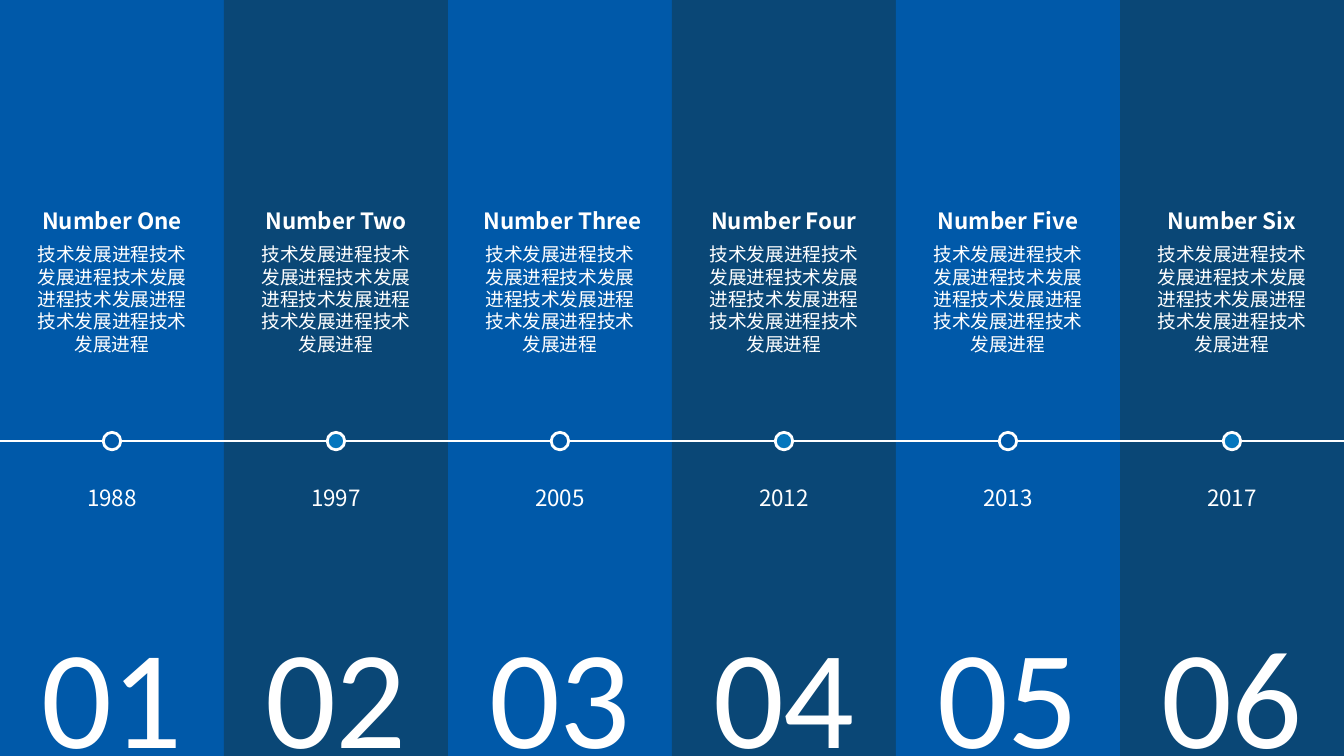
from lxml import etree
from pptx import Presentation
from pptx import util as u
from pptx.dml.color import RGBColor
from pptx.enum import shapes, text
from pptx.oxml.ns import qn

COLORS = {"blue": "0059A9", "navy": "0A4776", "sky": "0576BD", "white": "FFFFFF"}
SANS, DIGITS = "Noto Sans CJK SC", "Calibri"
BODY = "技术发展进程" * 6

MILESTONES = [
    ("Number One", "1988"),
    ("Number Two", "1997"),
    ("Number Three", "2005"),
    ("Number Four", "2012"),
    ("Number Five", "2013"),
    ("Number Six", "2017"),
]
BANDS = [("blue", "blue", 0), ("navy", "sky", 0.06)]
WIDE_TITLES = {"Number Three": (1.38, 0.02)}

WIDTH, HEIGHT = 10, 5.625
COLUMN = WIDTH / len(MILESTONES)
AXIS = HEIGHT * 0.5835
RING, DOT = 0.13, 0.08
PADDING = (0.07, 0.04, 0.07, 0.04)

STYLES = {
    "title": dict(top=1.56, width=1.17, height=0.25, inset=(0, 0, 0, 0),
                  font=dict(name=SANS, size=u.Pt(12), bold=True),
                  paragraph=dict(line_spacing=u.Pt(13), space_before=u.Pt(7.5))),
    "body": dict(top=1.81, width=1.17, height=0.77, inset=(0, 0, 0, 0),
                 font=dict(name=SANS, size=u.Pt(10)),
                 paragraph=dict(line_spacing=u.Pt(12), space_before=u.Pt(7.5))),
    "year": dict(top=3.56, width=1.23, height=0.28, inset=PADDING,
                 font=dict(name=SANS, size=u.Pt(12)),
                 paragraph=dict(line_spacing=u.Pt(14.4))),
    "number": dict(top=4.49, width=COLUMN, height=1.34, inset=PADDING,
                   font=dict(name=DIGITS, size=u.Pt(75)), paragraph={}),
}


def color(name):
    return RGBColor.from_string(COLORS[name])


def set_all(target, values):
    for name, value in values.items():
        setattr(target, name, value)


def add_shape(parent, kind, left, top, width, height, fill, outline=None):
    shape = parent.add_shape(kind, *map(u.Inches, (left, top, width, height)))
    shape.shadow.inherit = False
    shape.fill.solid()
    shape.fill.fore_color.rgb = color(fill)
    if outline:
        shape.line.color.rgb = color(outline)
        shape.line.width = u.Pt(1.5)
    else:
        shape.line.fill.background()


def add_axis(slide):
    line = slide.shapes.add_connector(
        shapes.MSO_CONNECTOR.STRAIGHT, 0, u.Inches(AXIS), u.Inches(WIDTH), u.Inches(AXIS))
    line.line.color.rgb = color("white")
    line.line.width = u.Pt(1.5)
    etree.SubElement(line._element.spPr, qn("a:effectLst"))


def add_marker(slide, center, fill):
    group = slide.shapes.add_group_shape()
    for size, outline in ((RING, "white"), (DOT, None)):
        add_shape(group.shapes, shapes.MSO_SHAPE.OVAL, center - size / 2,
                  AXIS - size / 2, size, size, fill, outline)


def add_text(slide, style_name, content, center, width=None):
    style = STYLES[style_name]
    width = width or style["width"]
    box = slide.shapes.add_textbox(*map(u.Inches, (
        center - width / 2, style["top"], width, style["height"])))
    frame = box.text_frame
    sides = ("margin_left", "margin_top", "margin_right", "margin_bottom")
    set_all(frame, dict(zip(sides, map(u.Inches, style["inset"]))))
    set_all(frame, dict(word_wrap=True, vertical_anchor=text.MSO_ANCHOR.TOP))
    paragraph = frame.paragraphs[0]
    paragraph.alignment = text.PP_ALIGN.CENTER
    set_all(paragraph, style["paragraph"])
    run = paragraph.add_run()
    run.text = content
    set_all(run.font, style["font"])
    run.font.color.rgb = color("white")
    east_asian = etree.SubElement(run._r.get_or_add_rPr(), qn("a:ea"))
    east_asian.set("typeface", style["font"]["name"])


def main():
    presentation = Presentation()
    set_all(presentation, dict(slide_width=u.Inches(WIDTH), slide_height=u.Inches(HEIGHT)))
    slide = presentation.slides.add_slide(presentation.slide_layouts[6])

    for index in range(len(MILESTONES)):
        fill, _, overlap = BANDS[index % 2]
        left = index * COLUMN
        add_shape(slide.shapes, shapes.MSO_SHAPE.RECTANGLE, left, 0,
                  min(COLUMN + overlap, WIDTH - left), HEIGHT, fill)

    add_axis(slide)
    for index, (title, year) in enumerate(MILESTONES):
        center = (index + 0.5) * COLUMN
        title_width, title_shift = WIDE_TITLES.get(title, (None, 0))
        add_marker(slide, center, BANDS[index % 2][1])
        add_text(slide, "year", year, center)
        add_text(slide, "body", BODY, center)
        add_text(slide, "title", title, center + title_shift, title_width)
        add_text(slide, "number", f"{index + 1:02d}", center)

    presentation.save("out.pptx")


if __name__ == "__main__":
    main()
